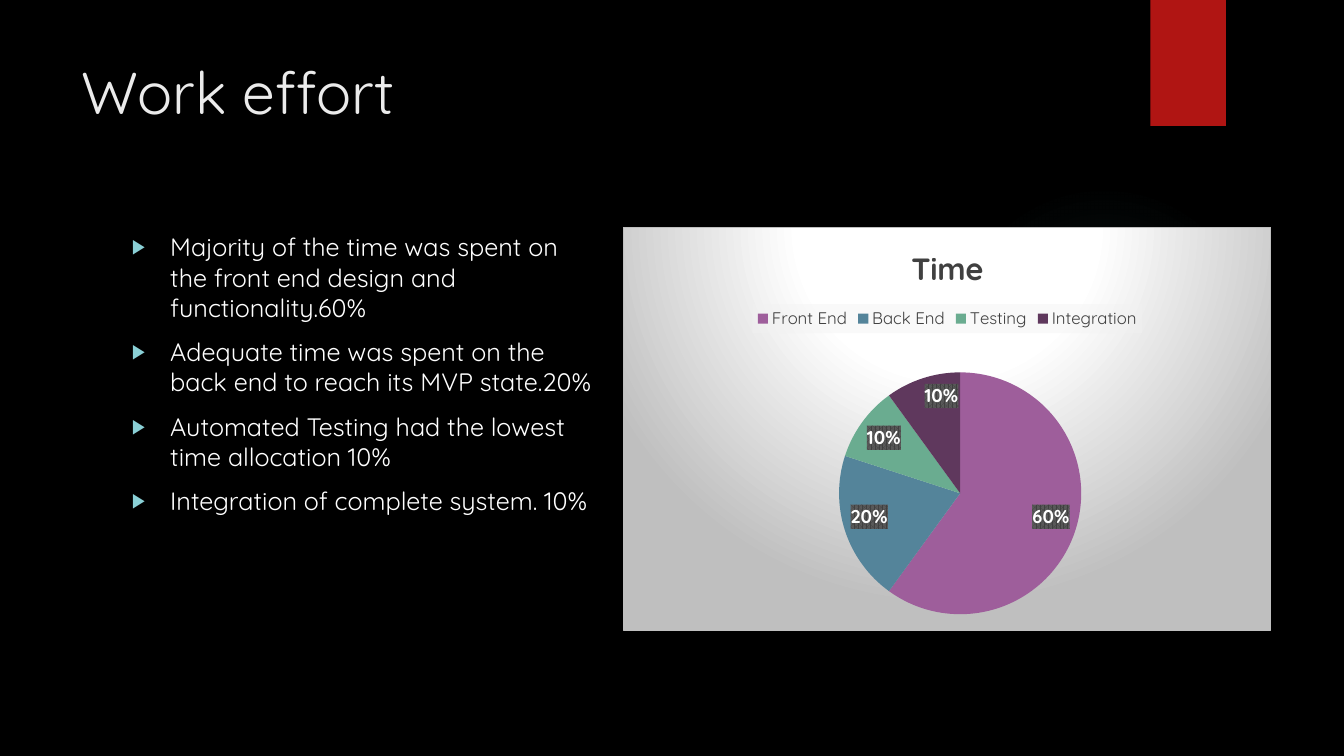
"""Builds the work effort slide: four bullet points beside a pie chart of time spent."""
from lxml import etree
from pptx import Presentation
from pptx.chart.data import CategoryChartData
from pptx.dml.color import RGBColor
from pptx.enum.chart import XL_CHART_TYPE, XL_LABEL_POSITION, XL_LEGEND_POSITION
from pptx.enum.shapes import MSO_SHAPE
from pptx.enum.text import MSO_ANCHOR
from pptx.oxml import parse_xml
from pptx.oxml.ns import nsdecls, qn
from pptx.util import Inches, Pt

FONT = "Quicksand"
COLORS = {
    "background": "000000", "glow": "50B9C1", "ribbon": "B01513", "title": "EBEBEB",
    "text": "FFFFFF", "bullet": "8AD0D6", "chart_text": "404040", "chart_edge": "BFBFBF",
    "label_stripe": "595959", "legend": "F2F2F2",
}
EFFORT = [("Front End", 60, "9E5E9B"), ("Back End", 20, "54849A"),
          ("Testing", 10, "6AAC90"), ("Integration", 10, "5F385D")]
POINTS = [
    "Majority of the time was spent on the front end design and functionality.60%",
    "Adequate time was spent on the back end to reach its MVP state.20%",
    "Automated Testing had the lowest time allocation 10%",
    "Integration of complete system. 10%",
]


def style_text(text, *, frame, size, color, bold=False, first=True):
    """Write one paragraph into a text frame and format it."""
    paragraph = frame.paragraphs[0] if first else frame.add_paragraph()
    run = paragraph.add_run()
    run.text = text
    run.font.name, run.font.size, run.font.bold = FONT, Pt(size), bold
    run.font.color.rgb = RGBColor.from_string(COLORS[color])
    return paragraph


def radial_fill(stops, top, bottom):
    """Return a circular gradient; stops are (position, color, alpha) in percent."""
    marks = "".join(
        f'<a:gs pos="{position * 1000}"><a:srgbClr val="{COLORS[color]}">'
        f'<a:alpha val="{alpha * 1000}"/></a:srgbClr></a:gs>'
        for position, color, alpha in stops)
    return (f'<a:gradFill {nsdecls("a")} rotWithShape="1"><a:gsLst>{marks}</a:gsLst>'
            f'<a:path path="circle"><a:fillToRect l="50000" t="{top * 1000}" '
            f'r="50000" b="{bottom * 1000}"/></a:path></a:gradFill>')


presentation = Presentation()
presentation.slide_width, presentation.slide_height = Inches(13.33), Inches(7.5)
slide = presentation.slides.add_slide(presentation.slide_layouts[6])
slide.background.fill.solid()
slide.background.fill.fore_color.rgb = RGBColor.from_string(COLORS["background"])

glow = slide.shapes.add_shape(
    MSO_SHAPE.OVAL, Inches(9.41), Inches(1.83), Inches(3.08), Inches(3.08))
ribbon = slide.shapes.add_shape(
    MSO_SHAPE.RECTANGLE, Inches(11.41), 0, Inches(0.75), Inches(1.25))
for shape in (glow, ribbon):
    shape.shadow.inherit = False
    shape.line.fill.background()
ribbon.fill.solid()
ribbon.fill.fore_color.rgb = RGBColor.from_string(COLORS["ribbon"])
glow_stops = [(0, "glow", 7), (36, "glow", 6), (69, "glow", 0)]
glow_properties = glow.element.spPr
glow_properties.find(qn("a:prstGeom")).addnext(parse_xml(radial_fill(glow_stops, 50, 50)))

title_box = slide.shapes.add_textbox(Inches(0.71), Inches(0.5), Inches(10.29), Inches(1.53))
body_box = slide.shapes.add_textbox(Inches(1.21), Inches(2.25), Inches(4.81), Inches(4.59))
for box in (title_box, body_box):
    box.text_frame.word_wrap = True
    box.text_frame.vertical_anchor = MSO_ANCHOR.TOP
style_text("Work effort", frame=title_box.text_frame, size=42, color="title")

for index, point in enumerate(POINTS):
    paragraph = style_text(
        point, frame=body_box.text_frame, size=18, color="text", first=index == 0)
    paragraph.space_before = Pt(10)
    properties = paragraph._p.get_or_add_pPr()
    properties.set("marL", str(Inches(0.38)))
    properties.set("indent", str(-Inches(0.38)))
    bullet_color = etree.SubElement(properties, qn("a:buClr"))
    etree.SubElement(bullet_color, qn("a:srgbClr"), val=COLORS["bullet"])
    etree.SubElement(properties, qn("a:buSzPct"), val="80000")
    etree.SubElement(properties, qn("a:buFont"), typeface="Arial")
    etree.SubElement(properties, qn("a:buChar"), char="▶")

chart_data = CategoryChartData()
chart_data.categories = [name for name, _, _ in EFFORT]
chart_data.add_series("Time", [share for _, share, _ in EFFORT])
chart = slide.shapes.add_chart(
    XL_CHART_TYPE.PIE, Inches(6.18), Inches(2.25), Inches(6.43), Inches(4.01), chart_data).chart
chart.font.name, chart.font.size = FONT, Pt(10)
chart.has_title = True
style_text("Time", frame=chart.chart_title.text_frame, size=22, color="chart_text", bold=True)
chart.chart_title.include_in_layout = False

chart.has_legend = True
legend = chart.legend
legend.position = XL_LEGEND_POSITION.TOP
legend.include_in_layout = False
legend.font.name, legend.font.size = FONT, Pt(12)
legend.font.color.rgb = RGBColor.from_string(COLORS["chart_text"])

plot = chart.plots[0]
plot.vary_by_categories = True
series = plot.series[0]
for index, (_, _, color) in enumerate(EFFORT):
    slice_fill = series.points[index].format.fill
    slice_fill.solid()
    slice_fill.fore_color.rgb = RGBColor.from_string(color)

labels = series.data_labels
labels.show_percentage, labels.show_value = True, False
labels.number_format, labels.number_format_is_linked = "0%", False
labels.position = XL_LABEL_POSITION.INSIDE_END
labels.font.name, labels.font.size, labels.font.bold = FONT, Pt(13.3), True
labels.font.color.rgb = RGBColor.from_string(COLORS["text"])

chart_fill = radial_fill(
    [(0, "text", 100), (39, "text", 100), (100, "chart_edge", 100)], -80, 180)
chart_line = (f'<a:ln w="{Pt(0.75)}"><a:solidFill><a:srgbClr val="{COLORS["chart_edge"]}"/>'
              '</a:solidFill></a:ln>')
legend_fill = (f'<a:solidFill><a:srgbClr val="{COLORS["legend"]}"><a:alpha val="39000"/>'
               '</a:srgbClr></a:solidFill>')
label_fill = (f'<a:pattFill prst="pct75"><a:fgClr><a:srgbClr val="{COLORS["chart_text"]}"/>'
              f'</a:fgClr><a:bgClr><a:srgbClr val="{COLORS["label_stripe"]}"/></a:bgClr>'
              '</a:pattFill>')
for element, fill in ((chart._chartSpace, chart_fill + chart_line),
                      (legend._element, legend_fill), (labels._element, label_fill)):
    element.find(qn("c:txPr")).addprevious(
        parse_xml(f'<c:spPr {nsdecls("c", "a")}>{fill}</c:spPr>'))

plot_area = chart._chartSpace.chart.plotArea
for old_layout in plot_area.findall(qn("c:layout")):
    plot_area.remove(old_layout)
layout = etree.Element(qn("c:layout"))
manual = etree.SubElement(layout, qn("c:manualLayout"))
for name, value in (("layoutTarget", "inner"), ("xMode", "edge"), ("yMode", "edge"),
                    ("x", "0.33"), ("y", "0.36"), ("w", "0.38"), ("h", "0.6")):
    etree.SubElement(manual, qn(f"c:{name}"), val=value)
plot_area.insert(0, layout)

presentation.save("out.pptx")
